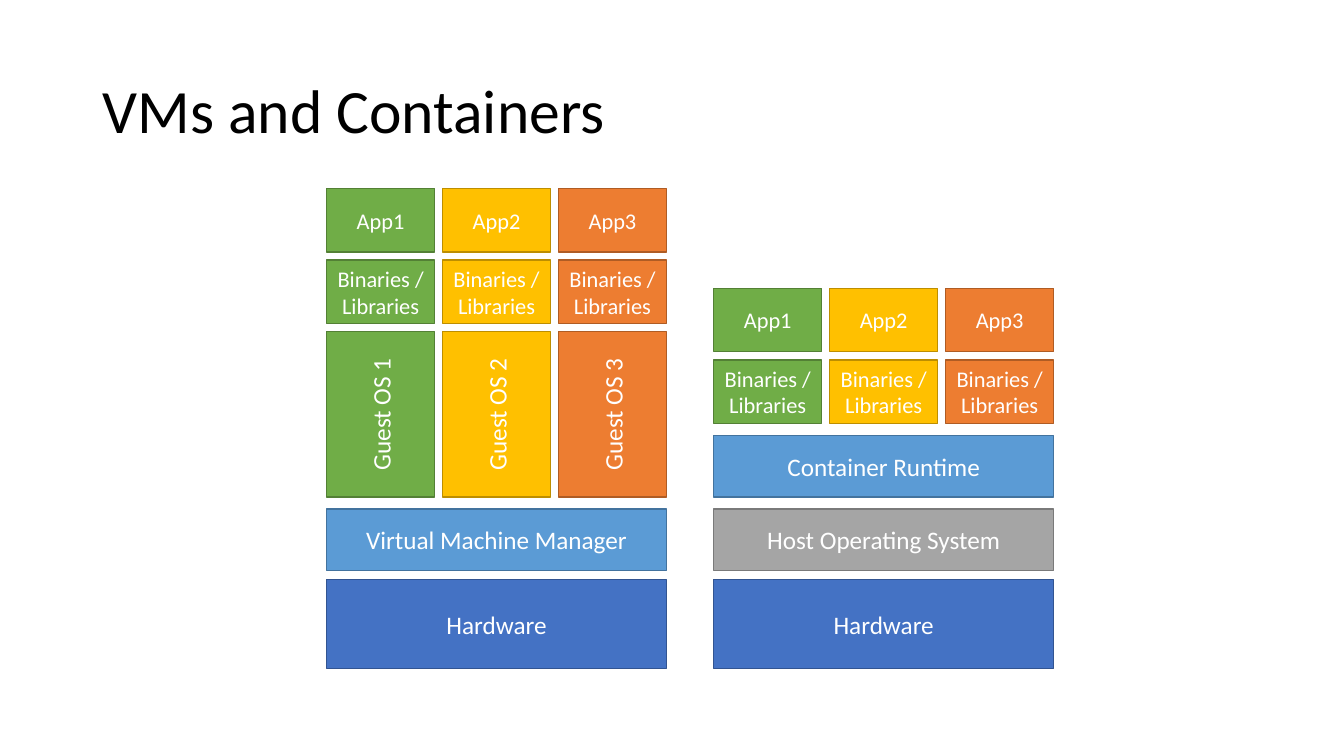
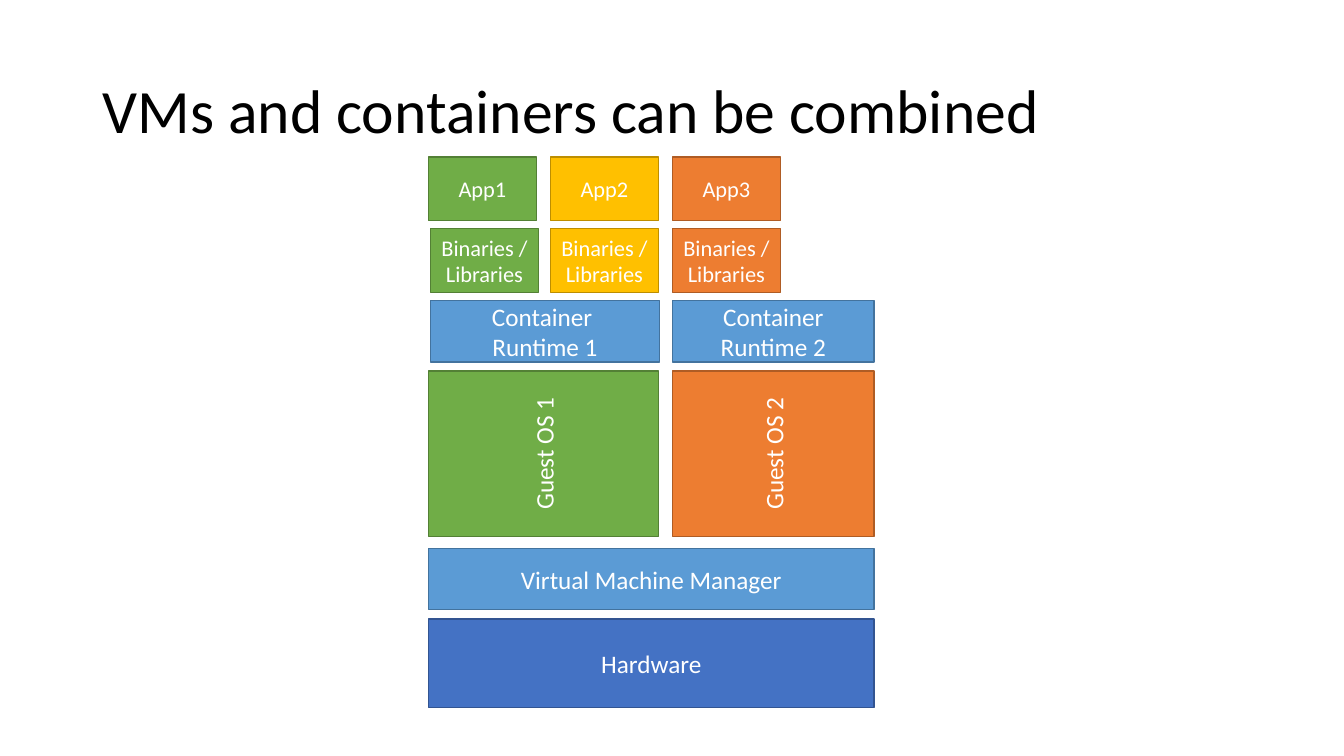
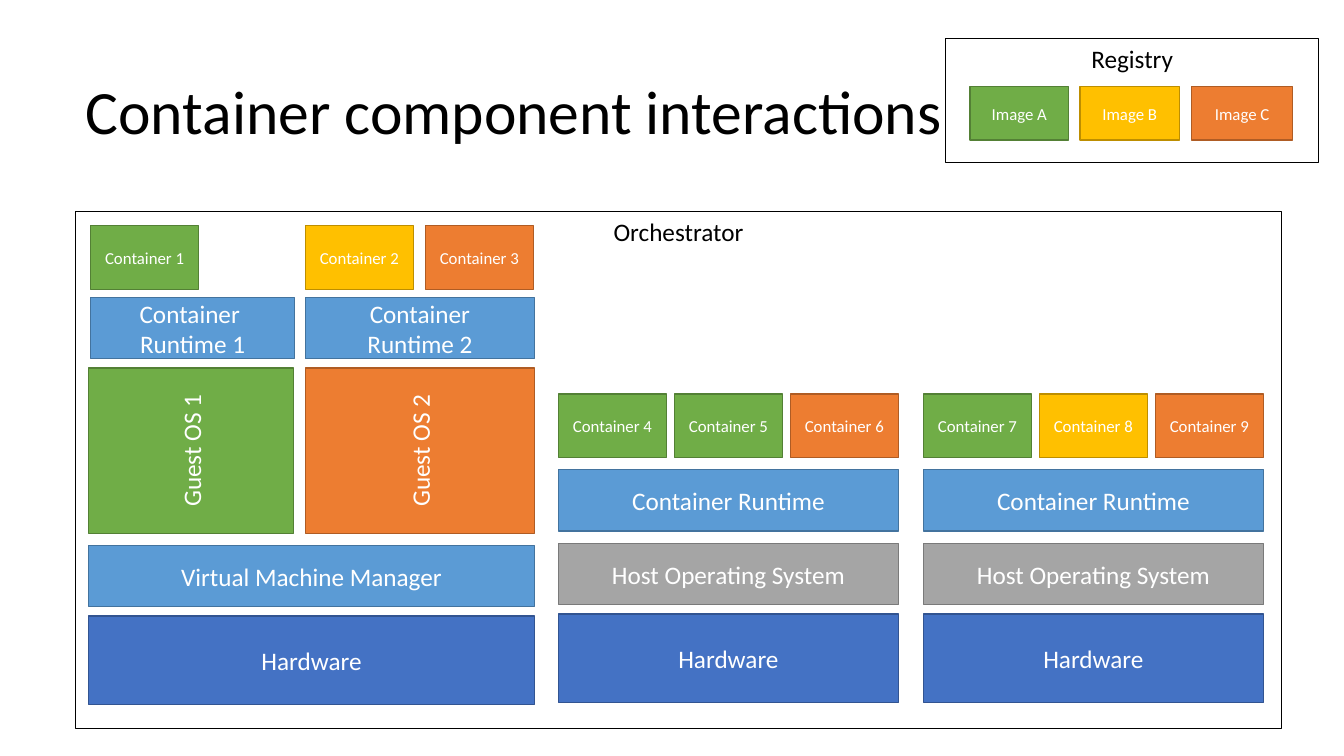
import pptx
import pptx.dml.color
import pptx.enum.shapes
import pptx.enum.text
import pptx.util

Inches = pptx.util.Inches
ANCHOR = pptx.enum.text.MSO_ANCHOR
ALIGN = pptx.enum.text.PP_ALIGN

FONT = "Calibri"
BLACK, WHITE = "000000", "FFFFFF"

# Fill and outline of each box colour
PALETTE = {
    "green": ("70AD47", "538035"),
    "yellow": ("FFC000", "BD8E00"),
    "orange": ("ED7D31", "AF5C24"),
    "sky": ("5B9BD5", "43739E"),
    "blue": ("4472C4", "325491"),
    "grey": ("A5A5A5", "7A7A7A"),
}

# Height, text size and rotation of each kind of layer
LAYERS = {
    "hardware": (0.88, 18, 0),
    "platform": (0.61, 18, 0),
    "guest": (1.64, 18, 270),
    "app": (0.63, 16, 0),
    "container": (0.63, 12, 0),
    "image": (0.53, 12, 0),
}

HOST_WIDTH, VM_WIDTH = 3.37, 4.42
APP_WIDTH, APP_PITCH = 1.07, 1.15
TRIO = ("green", "yellow", "orange")


def columns(labels, colours=TRIO):
    """Give equally spaced app-sized cells: offset, width, text, colour."""
    return [(i * APP_PITCH, APP_WIDTH, label, colour)
            for i, (label, colour) in enumerate(zip(labels, colours))]


def wide(width, label, colour):
    """Give the single cell of a layer that spans its stack."""
    return [(0, width, label, colour)]


def vm_base(width):
    """Give the two lowest layers of a virtual machine stack."""
    return [("hardware", 0, wide(width, "Hardware", "blue")),
            ("platform", 0.09, wide(width, "Virtual Machine Manager", "sky"))]


APPS = columns(["App1", "App2", "App3"])
BINARIES = columns(["Binaries / Libraries"] * 3)
HOST_BASE = [
    ("hardware", 0, wide(HOST_WIDTH, "Hardware", "blue")),
    ("platform", 0.09, wide(HOST_WIDTH, "Host Operating System", "grey")),
    ("platform", 0.12, wide(HOST_WIDTH, "Container Runtime", "sky")),
]

# A stack is left, bottom and its layers from the bottom up;
# a layer is kind, gap below and cells.
SLIDES = [
    {"title": ("VMs and Containers", 0.92, 0.4),
     "stacks": [
         (3.24, 6.63, vm_base(HOST_WIDTH) + [
             ("guest", 0.12, columns(["Guest OS 1", "Guest OS 2", "Guest OS 3"])),
             ("app", 0.08, BINARIES),
             ("app", 0.08, APPS)]),
         (7.08, 6.63, HOST_BASE + [
             ("app", 0.12, BINARIES),
             ("app", 0.08, APPS)])],
     "frames": []},
    {"title": ("VMs and containers can be combined", 0.92, 0.4),
     "stacks": [
         (4.25, 7.02, vm_base(VM_WIDTH) + [
             ("guest", 0.12, [(0, 2.28, "Guest OS 1", "green"),
                              (2.42, 2, "Guest OS 2", "orange")]),
             ("platform", 0.09, [(0.02, 2.27, "Container \nRuntime 1", "sky"),
                                 (2.42, 2, "Container Runtime 2", "sky")]),
             ("app", 0.08, [(0.02, APP_WIDTH, "Binaries / Libraries", "green"),
                            (1.21, APP_WIDTH, "Binaries / Libraries", "yellow"),
                            (2.42, APP_WIDTH, "Binaries / Libraries", "orange")]),
             ("app", 0.08, [(0, APP_WIDTH, "App1", "green"),
                            (1.21, APP_WIDTH, "App2", "yellow"),
                            (2.42, APP_WIDTH, "App3", "orange")])])],
     "frames": []},
    {"title": ("Container component interactions", 0.75, 0.41),
     "stacks": [
         (9.62, 1.39, [
             ("image", 0, [(0, 0.98, "Image A", "green"),
                           (1.09, 0.99, "Image B", "yellow"),
                           (2.2, 1, "Image C", "orange")])]),
         (0.88, 6.99, vm_base(VM_WIDTH) + [
             ("guest", 0.12, [(0, 2.03, "Guest OS 1", "green"),
                              (2.15, 2.27, "Guest OS 2", "orange")]),
             ("platform", 0.09, [(0.02, 2.02, "Container \nRuntime 1", "sky"),
                                 (2.15, 2.27, "Container\nRuntime 2", "sky")]),
             ("container", 0.08, [(0.02, APP_WIDTH, "Container 1", "green"),
                                  (2.15, APP_WIDTH, "Container 2", "yellow"),
                                  (3.34, APP_WIDTH, "Container 3", "orange")])]),
         (5.54, 6.97, HOST_BASE + [
             ("container", 0.12, columns(
                 ["Container 4", "Container 5", "Container 6"],
                 ("green", "green", "orange")))]),
         (9.16, 6.97, HOST_BASE + [
             ("container", 0.12, columns(
                 ["Container 7", "Container 8", "Container 9"]))])],
     "frames": [("Registry", 9.38, 0.38, 3.7, 1.23),
                ("Orchestrator", 0.75, 2.1, 11.96, 5.13)]},
]


def rgb(code):
    """Turn a hex string into a colour."""
    return pptx.dml.color.RGBColor.from_string(code)


def write(shape, text, size, colour, anchor, **paragraph_format):
    """Fill a shape with text, one paragraph per line."""
    frame = shape.text_frame
    frame.word_wrap = True
    frame.vertical_anchor = anchor
    frame.text = text
    for paragraph in frame.paragraphs:
        for name, value in paragraph_format.items():
            setattr(paragraph, name, value)
        for run in paragraph.runs:
            run.font.color.rgb = rgb(colour)
            for name, value in {"name": FONT, "size": pptx.util.Pt(size)}.items():
                setattr(run.font, name, value)


def add_box(slide, left, top, width, height, outline, weight, fill=None):
    """Add an outlined rectangle, filled only when a colour is given."""
    box = slide.shapes.add_shape(pptx.enum.shapes.MSO_SHAPE.RECTANGLE,
                                 *map(Inches, (left, top, width, height)))
    box.shadow.inherit = False
    if fill:
        box.fill.solid()
        box.fill.fore_color.rgb = rgb(fill)
    else:
        box.fill.background()
    box.line.color.rgb = rgb(outline)
    box.line.width = pptx.util.Pt(weight)
    return box


def add_title(slide, text, left, top):
    """Add the slide title."""
    title = slide.shapes.add_textbox(*map(Inches, (left, top, 11.5, 1.45)))
    write(title, text, 44, BLACK, ANCHOR.MIDDLE, line_spacing=0.9)


def add_cell(slide, left, top, width, kind, label, colour):
    """Add one box of a layer, keeping its place when it is turned."""
    height, size, rotation = LAYERS[kind]
    if rotation:
        left, top = left + (width - height) / 2, top + (height - width) / 2
        width, height = height, width
    fill, outline = PALETTE[colour]
    cell = add_box(slide, left, top, width, height, outline, 1, fill)
    cell.rotation = rotation
    write(cell, label, size, WHITE, ANCHOR.MIDDLE, alignment=ALIGN.CENTER)


def add_stack(slide, left, bottom, layers):
    """Pile layers upward from the bottom edge."""
    top = bottom
    for kind, gap, cells in layers:
        top -= gap + LAYERS[kind][0]
        for offset, width, label, colour in cells:
            add_cell(slide, left + offset, top, width, kind, label, colour)


def add_frame(slide, label, *place):
    """Add an open frame with its label at the top."""
    frame = add_box(slide, *place, BLACK, 0.75)
    write(frame, label, 18, BLACK, ANCHOR.TOP, alignment=ALIGN.CENTER)


deck = pptx.Presentation()
deck.slide_width, deck.slide_height = Inches(13.33), Inches(7.5)
for content in SLIDES:
    slide = deck.slides.add_slide(deck.slide_layouts[6])
    add_title(slide, *content["title"])
    for stack in content["stacks"]:
        add_stack(slide, *stack)
    for frame in content["frames"]:
        add_frame(slide, *frame)
deck.save("out.pptx")
